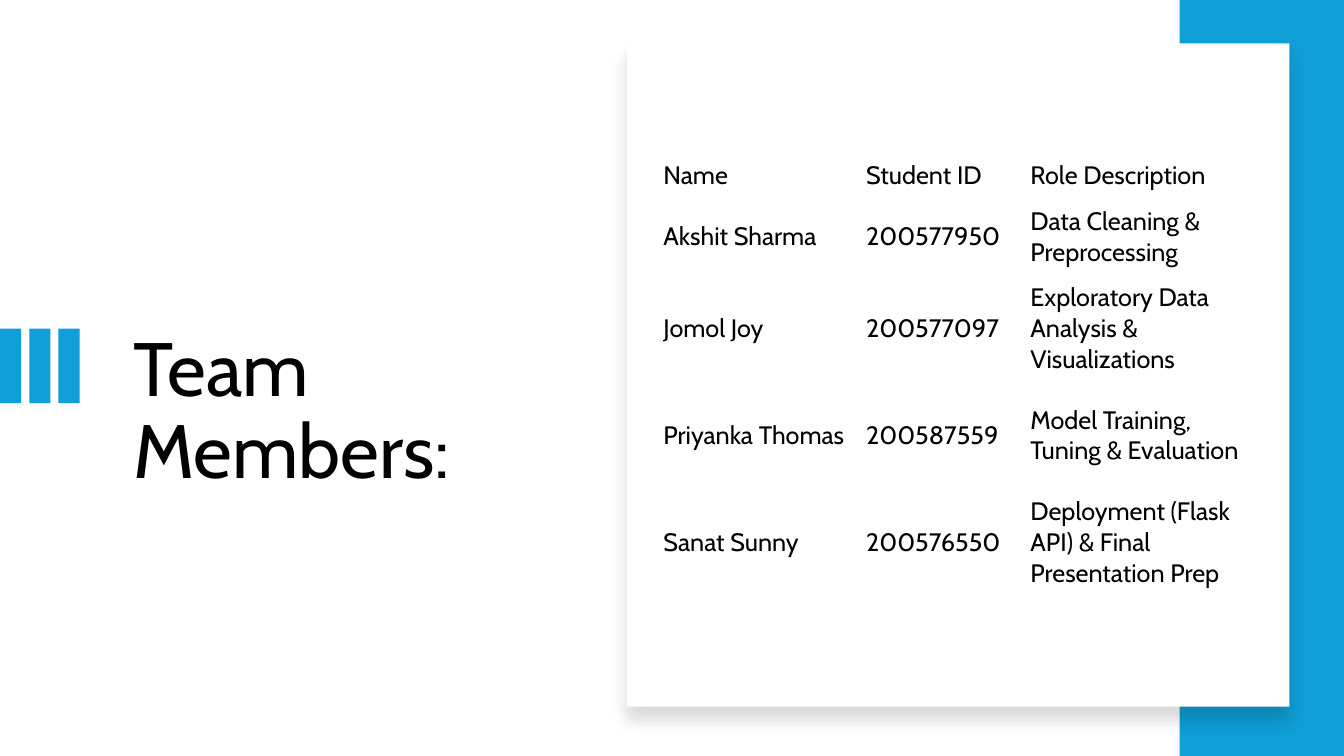
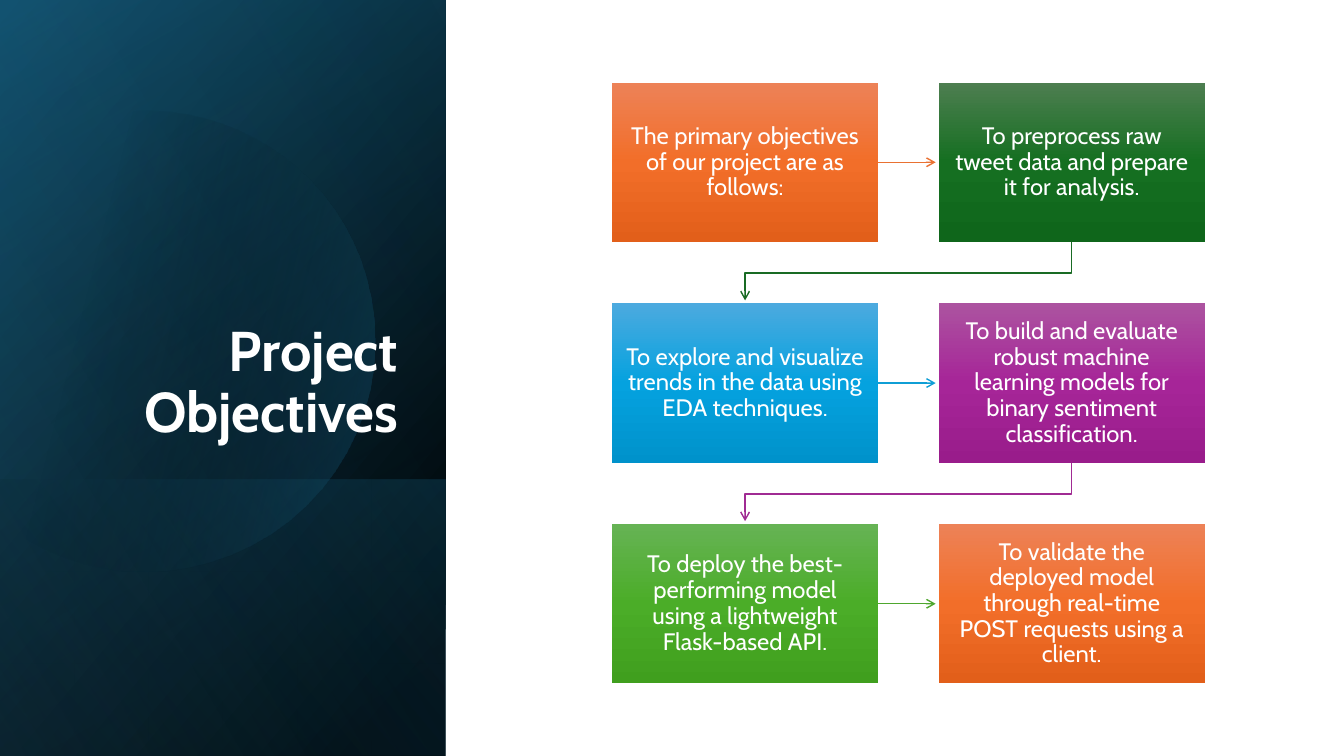
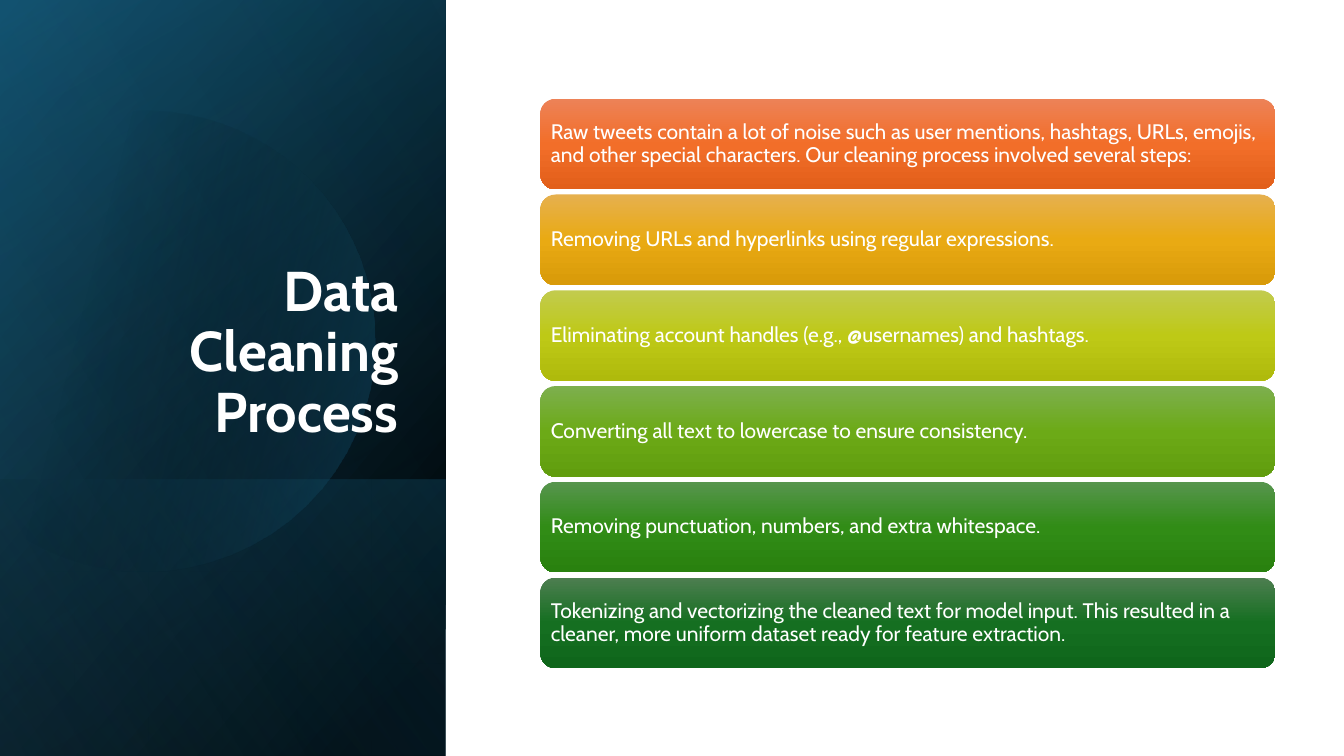
from pptx import Presentation
from pptx.dml.color import RGBColor
from pptx.enum.shapes import MSO_CONNECTOR as Connector, MSO_SHAPE as Shape
from pptx.enum.text import MSO_ANCHOR as Anchor, MSO_AUTO_SIZE as AutoSize, PP_ALIGN as Align
from pptx.oxml import parse_xml
from pptx.oxml.ns import nsdecls, qn
from pptx.util import Inches, Pt
from lxml.etree import SubElement

BLACK = RGBColor(0x00, 0x00, 0x00)
WHITE = RGBColor(0xFF, 0xFF, 0xFF)
BLUE = RGBColor(0x0F, 0x9E, 0xD5)
NAVY = RGBColor(0x10, 0x48, 0x62)
TEAL = RGBColor(0x15, 0x60, 0x82)
SKY = RGBColor(0x46, 0xB1, 0xE1)
ORANGE = RGBColor(0xE9, 0x71, 0x32)
FOREST = RGBColor(0x19, 0x6B, 0x24)
PURPLE = RGBColor(0xA0, 0x2B, 0x93)
GREEN = RGBColor(0x4E, 0xA7, 0x2E)

ORANGE_SHADES = RGBColor(0xED, 0x82, 0x57), RGBColor(0xF2, 0x6E, 0x29), RGBColor(0xE2, 0x5F, 0x1A)
FOREST_SHADES = RGBColor(0x4D, 0x7E, 0x50), RGBColor(0x15, 0x6F, 0x21), RGBColor(0x0F, 0x66, 0x1B)
BLUE_SHADES = RGBColor(0x4C, 0xAA, 0xDF), RGBColor(0x05, 0xA2, 0xDF), RGBColor(0x00, 0x92, 0xCB)
PURPLE_SHADES = RGBColor(0xAC, 0x53, 0xA0), RGBColor(0xA6, 0x25, 0x98), RGBColor(0x99, 0x1C, 0x8B)
GREEN_SHADES = RGBColor(0x66, 0xB3, 0x54), RGBColor(0x4B, 0xAD, 0x28), RGBColor(0x40, 0x9F, 0x1E)
AMBER_SHADES = RGBColor(0xE6, 0xB0, 0x4E), RGBColor(0xE9, 0xAA, 0x13), RGBColor(0xD8, 0x9A, 0x09)
LIME_SHADES = RGBColor(0xC2, 0xCB, 0x4E), RGBColor(0xBE, 0xC9, 0x16), RGBColor(0xAF, 0xBA, 0x0C)
OLIVE_SHADES = RGBColor(0x7D, 0xAF, 0x4E), RGBColor(0x6C, 0xAA, 0x17), RGBColor(0x61, 0x9D, 0x0E)
LEAF_SHADES = RGBColor(0x57, 0x95, 0x4E), RGBColor(0x31, 0x8C, 0x16), RGBColor(0x29, 0x81, 0x0F)

CIRCLE_START = (1.49, 1.1)
CIRCLE_CURVES_RIGHT = [
    ((2.46, 1.12), (3.35, 1.77), (3.63, 2.75)),
    ((3.98, 3.97), (3.28, 5.23), (2.07, 5.58)),
    ((1.31, 5.8), (0.53, 5.61), (-0.03, 5.14)),
]
CIRCLE_LEFT_EDGE = [(-0.15, 5.03), (-0.15, 1.75), (0, 1.61)]
CIRCLE_CURVES_TOP = [
    ((0.23, 1.42), (0.5, 1.28), (0.8, 1.19)),
    ((1.03, 1.13), (1.26, 1.1), (1.49, 1.1)),
]


def curve_points(start, curves, steps=16):
    points = []
    for first, second, end in curves:
        for step in range(1, steps + 1):
            t = step / steps
            weights = (1 - t) ** 3, 3 * t * (1 - t) ** 2, 3 * t * t * (1 - t), t ** 3
            corners = start, first, second, end
            points.append(tuple(sum(w * c[axis] for w, c in zip(weights, corners)) for axis in (0, 1)))
        start = end
    return points


class Deck:
    font = "Cabin"

    def __init__(self):
        self.presentation = Presentation()
        self.presentation.slide_width = Inches(13.33)
        self.presentation.slide_height = Inches(7.5)
        self.slide = None

    def new_slide(self):
        self.slide = self.presentation.slides.add_slide(self.presentation.slide_layouts[5])

    def style(self, paragraph, size, color, align=Align.LEFT, bold=False, spacing=0.9):
        paragraph.alignment = align
        paragraph.line_spacing = spacing
        font = paragraph.font
        font.name, font.size, font.bold = self.font, Pt(size), bold
        font.color.rgb = color

    def title(self, text, left, top, width, height, size, color, align=Align.LEFT, bold=False, anchor=Anchor.TOP):
        title = self.slide.shapes.title
        title.left, title.top = Inches(left), Inches(top)
        title.width, title.height = Inches(width), Inches(height)
        frame = title.text_frame
        frame.text = text
        frame.word_wrap = True
        frame.auto_size = AutoSize.NONE
        frame.vertical_anchor = anchor
        self.style(frame.paragraphs[0], size, color, align, bold)
        self.slide.shapes._spTree.append(title._element)

    def plain(self, shape, color=None):
        shape.shadow.inherit = False
        shape.line.fill.background()
        if color is not None:
            shape.fill.solid()
            shape.fill.fore_color.rgb = color

    def gradient(self, shape, stops, angle):
        shape.fill.gradient()
        stop_xml = "".join(
            f'<a:gs pos="{position * 1000}"><a:srgbClr val="{color}">'
            f'<a:alpha val="{opacity * 1000}"/></a:srgbClr></a:gs>'
            for position, color, opacity in stops
        )
        old = shape._element.spPr.find(qn("a:gradFill"))
        old.getparent().replace(old, parse_xml(
            f'<a:gradFill {nsdecls("a")} rotWithShape="1"><a:gsLst>{stop_xml}</a:gsLst>'
            f'<a:lin ang="{angle * 60000}" scaled="0"/></a:gradFill>'
        ))

    def rectangle(self, left, top, width, height, color=None, kind=Shape.RECTANGLE):
        shape = self.slide.shapes.add_shape(kind, Inches(left), Inches(top), Inches(width), Inches(height))
        self.plain(shape, color)
        return shape

    def card(self, left, top, width, height):
        shape = self.rectangle(left, top, width, height, WHITE)
        effects = shape._element.spPr.find(qn("a:effectLst"))
        shadow = SubElement(effects, qn("a:outerShdw"), blurRad=str(Pt(11)), dist=str(Pt(10)),
                            dir="5400000", algn="t", rotWithShape="0")
        color = SubElement(shadow, qn("a:srgbClr"), val=str(BLACK))
        SubElement(color, qn("a:alpha"), val="15000")

    def turned_layer(self, left, top, width, stops, angle):
        shape = self.rectangle(left, top, width, 4.42)
        shape.rotation = 90
        shape._element.spPr.xfrm.set("flipH", "1")
        self.gradient(shape, stops, angle)

    def circle(self):
        points = curve_points(CIRCLE_START, CIRCLE_CURVES_RIGHT) + CIRCLE_LEFT_EDGE
        points += curve_points(CIRCLE_LEFT_EDGE[-1], CIRCLE_CURVES_TOP)
        shape = self.outline([CIRCLE_START] + points, True)
        self.plain(shape)
        self.gradient(shape, [(29, BLACK, 0), (100, TEAL, 43)], 14)

    def outline(self, points, close):
        scaled = [(Inches(x), Inches(y)) for x, y in points]
        builder = self.slide.shapes.build_freeform(*scaled[0])
        builder.add_line_segments(scaled[1:], close=close)
        return builder.convert_to_shape()

    def side_panel(self, text):
        self.turned_layer(-1.54, 1.54, 7.5, [(8, BLACK, 100), (100, NAVY, 100)], 50)
        self.turned_layer(-1.54, 1.54, 7.5, [(0, BLACK, 0), (99, TEAL, 46)], 30)
        self.turned_layer(0.84, 3.92, 2.74, [(2, TEAL, 29), (100, BLACK, 30)], 130)
        self.circle()
        self.turned_layer(-1.54, 1.54, 7.5, [(0, BLACK, 0), (99, SKY, 11)], 120)
        self.title(text, 0.64, 1.84, 3.41, 2.62, 40, WHITE, Align.RIGHT, True, Anchor.BOTTOM)

    def text_box(self, text, left, top, width, height, shades, size, margins, align, kind=Shape.RECTANGLE):
        shape = self.rectangle(left, top, width, height, kind=kind)
        self.gradient(shape, [(position, color, 100) for position, color in zip((0, 50, 100), shades)], 90)
        frame = shape.text_frame
        frame.text = text
        frame.word_wrap = True
        frame.vertical_anchor = Anchor.MIDDLE
        frame.margin_left = frame.margin_right = Inches(margins[0])
        frame.margin_top = frame.margin_bottom = Inches(margins[1])
        self.style(frame.paragraphs[0], size, WHITE, align)
        return shape

    def arrow_line(self, shape, color):
        shape.line.color.rgb = color
        shape.line.width = Pt(1)
        SubElement(shape.line._get_or_add_ln(), qn("a:tailEnd"), type="arrow")

    def arrow_right(self, box, length, color):
        start, middle = box.left + box.width, box.top + box.height // 2
        arrow = self.slide.shapes.add_connector(Connector.STRAIGHT, start, middle, start + Inches(length), middle)
        arrow.begin_connect(box, 3)
        self.arrow_line(arrow, color)
        SubElement(arrow._element.spPr, qn("a:effectLst"))

    def arrow_down_left(self, start, turn, end, color):
        arrow = self.outline([start, (start[0], turn), (end[0], turn), end], False)
        arrow.shadow.inherit = False
        arrow.fill.background()
        self.arrow_line(arrow, color)

    def table(self, rows, left, top, widths, heights, size):
        table = self.slide.shapes.add_table(
            len(rows), len(widths), Inches(left), Inches(top), Inches(sum(widths)), Inches(sum(heights))).table
        table.first_row = table.horz_banding = False
        for column, width in zip(table.columns, widths):
            column.width = Inches(width)
        for row, height, texts in zip(table.rows, heights, rows):
            row.height = Inches(height)
            for cell, text in zip(row.cells, texts):
                cell.text = text
                cell.fill.background()
                cell.vertical_anchor = Anchor.MIDDLE
                self.style(cell.text_frame.paragraphs[0], size, BLACK, spacing=1.0)


def team_slide(deck):
    deck.new_slide()
    deck.title("Team Members:", 1.22, 3.24, 4.41, 2.61, 54, BLACK)
    for index in range(3):
        deck.rectangle(index * 0.29, 3.26, 0.21, 0.74, BLUE)
    deck.rectangle(11.7, 0, 1.63, 7.5, BLUE)
    deck.card(6.22, 0.43, 6.57, 6.58)
    deck.table([
        ("Name", "Student ID", "Role Description"),
        ("Akshit Sharma", "200577950", "Data Cleaning & Preprocessing"),
        ("Jomol Joy", "200577097", "Exploratory Data Analysis & Visualizations"),
        ("Priyanka Thomas", "200587559", "Model Training, Tuning & Evaluation"),
        ("Sanat Sunny", "200576550", "Deployment (Flask API) & Final Presentation Prep"),
    ], 6.48, 1.52, (2.01, 1.63, 2.41), (0.45, 0.76, 1.06, 1.06, 1.06), 18)


def objectives_slide(deck):
    deck.new_slide()
    deck.side_panel("Project Objectives")
    objectives = [
        ("The primary objectives of our project are as follows:", ORANGE_SHADES, ORANGE),
        ("To preprocess raw tweet data and prepare it for analysis.", FOREST_SHADES, FOREST),
        ("To explore and visualize trends in the data using EDA techniques.", BLUE_SHADES, BLUE),
        ("To build and evaluate robust machine learning models for binary sentiment classification.",
         PURPLE_SHADES, PURPLE),
        ("To deploy the best-performing model using a lightweight Flask-based API.", GREEN_SHADES, GREEN),
        ("To validate the deployed model through real-time POST requests using a client.", ORANGE_SHADES, None),
    ]
    width, height = 2.64, 1.58
    first_left, first_top = 6.07, 0.82
    for index, (text, shades, arrow_color) in enumerate(objectives):
        row, column = divmod(index, 2)
        left, top = first_left + column * 3.24, first_top + row * 2.19
        box = deck.text_box(text, left, top, width, height, shades, 17, (0.13, 0.14), Align.CENTER)
        if arrow_color is None:
            continue
        if column == 0:
            deck.arrow_right(box, 0.57, arrow_color)
        else:
            bottom = top + height
            deck.arrow_down_left((left + width / 2, bottom), bottom + 0.31,
                                 (first_left + width / 2, bottom + 0.58), arrow_color)


def cleaning_slide(deck):
    deck.new_slide()
    deck.side_panel("Data Cleaning Process")
    steps = [
        ("Raw tweets contain a lot of noise such as user mentions, hashtags, URLs, emojis, and other special "
         "characters. Our cleaning process involved several steps:", ORANGE_SHADES),
        ("Removing URLs and hyperlinks using regular expressions.", AMBER_SHADES),
        ("Eliminating account handles (e.g., @usernames) and hashtags.", LIME_SHADES),
        ("Converting all text to lowercase to ensure consistency.", OLIVE_SHADES),
        ("Removing punctuation, numbers, and extra whitespace.", LEAF_SHADES),
        ("Tokenizing and vectorizing the cleaned text for model input. This resulted in a cleaner, more uniform "
         "dataset ready for feature extraction.", FOREST_SHADES),
    ]
    for index, (text, shades) in enumerate(steps):
        deck.text_box(text, 5.36, 0.98 + index * 0.95, 7.29, 0.9, shades, 15, (0.06, 0.06), Align.LEFT,
                      Shape.ROUNDED_RECTANGLE)


def main():
    deck = Deck()
    team_slide(deck)
    objectives_slide(deck)
    cleaning_slide(deck)
    deck.presentation.save("out.pptx")


if __name__ == "__main__":
    main()
